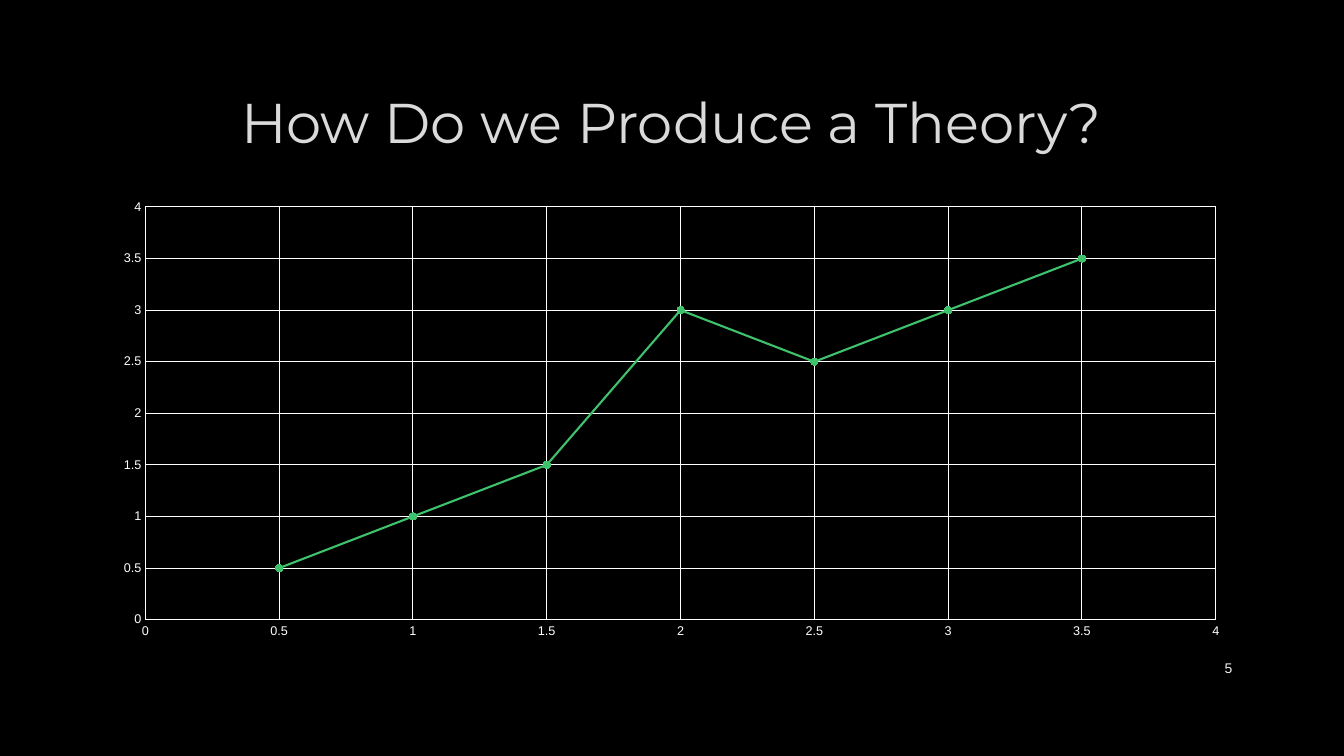
from dataclasses import dataclass

from lxml.etree import SubElement
from pptx import Presentation
from pptx.chart.data import XyChartData
from pptx.dml.color import RGBColor
from pptx.enum.chart import XL_CHART_TYPE as ChartType
from pptx.enum.chart import XL_MARKER_STYLE as Marker
from pptx.enum.chart import XL_TICK_MARK as Tick
from pptx.enum.text import MSO_ANCHOR as Anchor
from pptx.enum.text import PP_ALIGN as Align
from pptx.oxml.ns import qn
from pptx.util import Inches, Pt

WHITE, GREEN = "FFFFFF", "3EC26C"


@dataclass
class Label:
    text: str
    left: float
    top: float
    width: float
    height: float
    size: float
    font: str
    color: str
    align: Align


LABELS = [
    Label("How Do we Produce a Theory?", 1, 0.67, 11.32, 1.06,
          40, "Montserrat", "DADADA", Align.CENTER),
    Label("5", 11.5, 6.43, 0.82, 0.4, 10, "Arial", "F2F2F2", Align.RIGHT),
]
HEIGHTS = [0.5, 1, 1.5, 3, 2.5, 3, 3.5]
STEP = 0.5
PLOT_LAYOUT = {"x": 0.039, "y": 0.036, "w": 0.938, "h": 0.902}


def rgb(color: str) -> RGBColor:
    return RGBColor.from_string(color)


def style_font(font, name: str, size: float, color: str) -> None:
    font.name, font.size = name, Pt(size)
    font.color.rgb = rgb(color)


def style_line(line, color: str, width: float) -> None:
    line.color.rgb = rgb(color)
    line.width = Pt(width)


def add_label(page, label: Label) -> None:
    box = page.shapes.add_textbox(Inches(label.left), Inches(label.top),
                                  Inches(label.width), Inches(label.height))
    frame = box.text_frame
    frame.word_wrap = True
    frame.vertical_anchor = Anchor.MIDDLE
    frame.text = label.text
    para = frame.paragraphs[0]
    para.alignment = label.align
    style_font(para.runs[0].font, label.font, label.size, label.color)


def style_axis(axis) -> None:
    axis.minimum_scale, axis.maximum_scale, axis.major_unit = 0, 4, STEP
    axis.major_tick_mark = axis.minor_tick_mark = Tick.NONE
    axis.has_major_gridlines = True
    axis.tick_labels.number_format = "General"
    axis.tick_labels.number_format_is_linked = False
    style_font(axis.tick_labels.font, "Arial", 9, WHITE)
    for line in (axis.format.line, axis.major_gridlines.format.line):
        style_line(line, WHITE, 0.75)


def place_plot(chart) -> None:
    area = chart.element.find(".//" + qn("c:plotArea"))
    layout = area.find(qn("c:layout"))
    if layout is None:
        layout = SubElement(area, qn("c:layout"))
        area.insert(0, layout)
    manual = SubElement(layout, qn("c:manualLayout"))
    settings = {"layoutTarget": "inner", "xMode": "edge", "yMode": "edge", **PLOT_LAYOUT}
    for name, value in settings.items():
        SubElement(manual, qn("c:" + name)).set("val", str(value))


def add_curve(page) -> None:
    data = XyChartData()
    points = data.add_series("Series 1")
    for index, height in enumerate(HEIGHTS, start=1):
        points.add_data_point(index * STEP, height)
    chart = page.shapes.add_chart(ChartType.XY_SCATTER_SMOOTH, Inches(1), Inches(1.89),
                                  Inches(11.32), Inches(4.54), data).chart
    chart.has_title = chart.has_legend = False
    style_font(chart.font, "Arial", 10, WHITE)
    for axis in (chart.category_axis, chart.value_axis):
        style_axis(axis)
    place_plot(chart)

    # Green curve with round markers
    plot = chart.plots[0]
    plot.vary_by_categories = False
    series = plot.series[0]
    series.smooth = True
    style_line(series.format.line, GREEN, 1.5)
    series.marker.style, series.marker.size = Marker.CIRCLE, 5
    series.marker.format.fill.solid()
    series.marker.format.fill.fore_color.rgb = rgb(GREEN)
    style_line(series.marker.format.line, GREEN, 0.75)


def main() -> None:
    deck = Presentation()
    deck.slide_width, deck.slide_height = Inches(13.33), Inches(7.5)
    page = deck.slides.add_slide(deck.slide_layouts[6])

    # Black background
    page.background.fill.solid()
    page.background.fill.fore_color.rgb = rgb("000000")

    # Title, page number and chart
    for label in LABELS:
        add_label(page, label)
    add_curve(page)
    deck.save("out.pptx")


if __name__ == "__main__":
    main()
